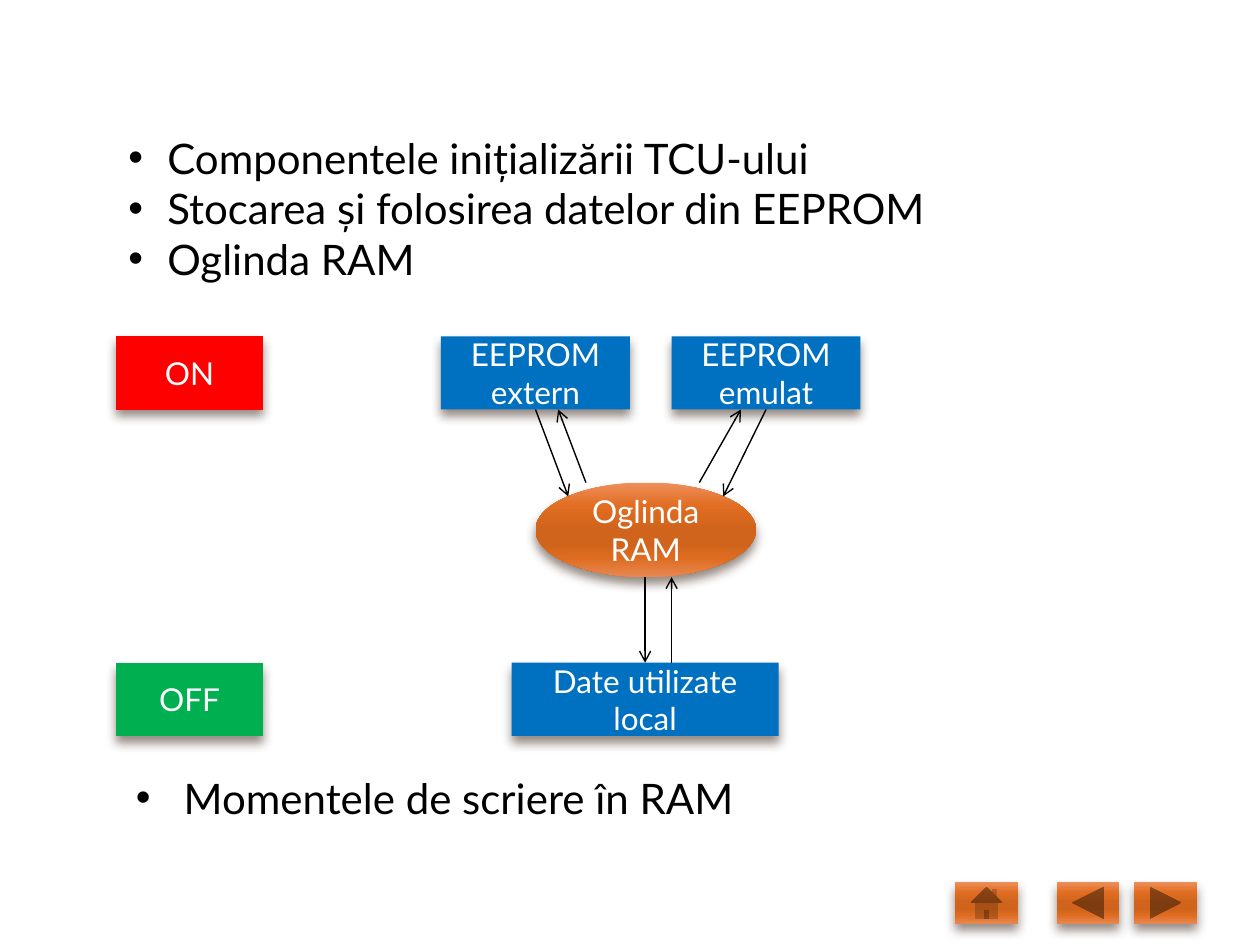
from lxml.etree import SubElement
from pptx import Presentation
from pptx.dml.color import RGBColor
from pptx.enum.shapes import MSO_CONNECTOR, MSO_SHAPE
from pptx.enum.text import MSO_ANCHOR, MSO_AUTO_SIZE, PP_ALIGN
from pptx.oxml import parse_xml
from pptx.oxml.ns import nsdecls, qn
from pptx.util import Inches, Pt

BLUE, RED, GREEN = "0070C0", "FF0000", "00B050"
BLACK, WHITE = "000000", "FFFFFF"
ORANGE = [(0, "EE8F5B"), (25, "E06D21"), (50, "D0641C"),
          (65, "D0641C"), (80, "DE6C20"), (100, "E88852")]


def color(value):
    return RGBColor.from_string(value)


def write(frame, lines, size=18, ink=WHITE, align=PP_ALIGN.CENTER, indent=None):
    """Fill a text frame, one paragraph a line; an indent makes bullets."""
    frame.word_wrap = True
    for number, line in enumerate(lines):
        para = frame.paragraphs[0] if number == 0 else frame.add_paragraph()
        if indent:
            properties = para._p.get_or_add_pPr()
            properties.set("marL", str(Inches(indent)))
            properties.set("indent", str(-Inches(indent)))
            SubElement(properties, qn("a:buFont"), typeface="Arial")
            SubElement(properties, qn("a:buChar"), char="•")
        para.alignment = align
        span = para.add_run()
        span.text = line
        span.font.name = "Lato"
        span.font.size = Pt(size)
        span.font.color.rgb = color(ink)


class SlideBuilder:
    """Holds the current slide and the style of its elements."""

    def __init__(self, page):
        self.shapes = page.shapes

    def bullets(self, left, top, width, height, lines, indent):
        box = self.shapes.add_textbox(*map(Inches, (left, top, width, height)))
        write(box.text_frame, lines, size=24, ink=BLACK, align=PP_ALIGN.LEFT, indent=indent)
        box.text_frame.auto_size = MSO_AUTO_SIZE.SHAPE_TO_FIT_TEXT

    def block(self, kind, left, top, width, height, fill=None, text=None):
        """Add a shadowed shape, with the orange gradient unless a fill is given."""
        shape = self.shapes.add_shape(kind, *map(Inches, (left, top, width, height)))
        if fill:
            shape.fill.solid()
            shape.fill.fore_color.rgb = color(fill)
        else:
            self.gradient(shape)
        shape.line.fill.background()
        self.shadow(shape)
        if text:
            shape.text_frame.vertical_anchor = MSO_ANCHOR.MIDDLE
            write(shape.text_frame, [text])
        return shape

    def gradient(self, shape):
        stops = "".join(f'<a:gs pos="{place * 1000}"><a:srgbClr val="{value}"/></a:gs>'
                        for place, value in ORANGE)
        outline = shape._element.spPr.find(qn("a:prstGeom"))
        outline.addnext(parse_xml(
            f'<a:gradFill {nsdecls("a")} rotWithShape="1"><a:gsLst>{stops}</a:gsLst>'
            '<a:lin ang="5400000" scaled="0"/></a:gradFill>'))

    def shadow(self, shape):
        shape.shadow.inherit = False
        effects = shape._element.spPr.find(qn("a:effectLst"))
        effects.append(parse_xml(
            f'<a:outerShdw {nsdecls("a")} blurRad="{Pt(6)}" dist="{Pt(4)}" dir="5400000" '
            'rotWithShape="0"><a:srgbClr val="4E3B30"><a:alpha val="60000"/></a:srgbClr>'
            '</a:outerShdw>'))

    def arrow(self, start, end, begin=None, finish=None):
        """Draw an arrow; begin is left at its bottom, finish is met at its top."""
        line = self.shapes.add_connector(MSO_CONNECTOR.STRAIGHT, *map(Inches, start + end))
        if begin:
            line.begin_connect(begin, 2)
        if finish:
            line.end_connect(finish, 0)
        line.line.color.rgb = color(BLACK)
        line.line.width = Pt(0.79)
        SubElement(line.line._get_or_add_ln(), qn("a:tailEnd"), type="arrow")
        SubElement(line._element.spPr, qn("a:effectLst"))


def main():
    deck = Presentation()
    deck.slide_width, deck.slide_height = Inches(10), Inches(7.5)
    slide = SlideBuilder(deck.slides.add_slide(deck.slide_layouts[6]))

    slide.bullets(0.92, 1, 7, 1.31, ["Componentele inițializării TCU-ului",
                                     "Stocarea și folosirea datelor din EEPROM",
                                     "Oglinda RAM"], indent=0.31)
    slide.bullets(0.98, 6.08, 7.33, 0.5, ["Momentele de scriere în RAM"], indent=0.38)

    upper, lower, height = 2.67, 5.26, 0.58
    external = slide.block(MSO_SHAPE.RECTANGLE, 3.5, upper, 1.5, height, BLUE, "EEPROM extern")
    emulated = slide.block(MSO_SHAPE.RECTANGLE, 5.33, upper, 1.5, height, BLUE, "EEPROM emulat")
    slide.block(MSO_SHAPE.OVAL, 4.25, 3.83, 1.75, 0.75, text="Oglinda RAM")
    local = slide.block(MSO_SHAPE.RECTANGLE, 4.06, lower, 2.12, height, BLUE,
                        "Date utilizate local")
    for top, fill, text in [(upper, RED, "ON"), (lower, GREEN, "OFF")]:
        slide.block(MSO_SHAPE.ACTION_BUTTON_CUSTOM, 0.92, top, 1.17, height, fill, text)

    slide.arrow((4.25, 3.25), (4.51, 3.94), begin=external)
    slide.arrow((6.08, 3.25), (5.74, 3.94), begin=emulated)
    slide.arrow((5.12, 4.58), (5.12, 5.26), finish=local)
    slide.arrow((5.33, 5.26), (5.33, 4.58))
    slide.arrow((4.65, 3.83), (4.43, 3.25))
    slide.arrow((5.55, 3.83), (5.88, 3.25))

    for kind, left, width in [(MSO_SHAPE.ACTION_BUTTON_FORWARD_OR_NEXT, 9, 0.5),
                              (MSO_SHAPE.ACTION_BUTTON_BACK_OR_PREVIOUS, 8.39, 0.49),
                              (MSO_SHAPE.ACTION_BUTTON_HOME, 7.58, 0.5)]:
        slide.block(kind, left, 7, width, 0.33)

    deck.save("out.pptx")


if __name__ == "__main__":
    main()
